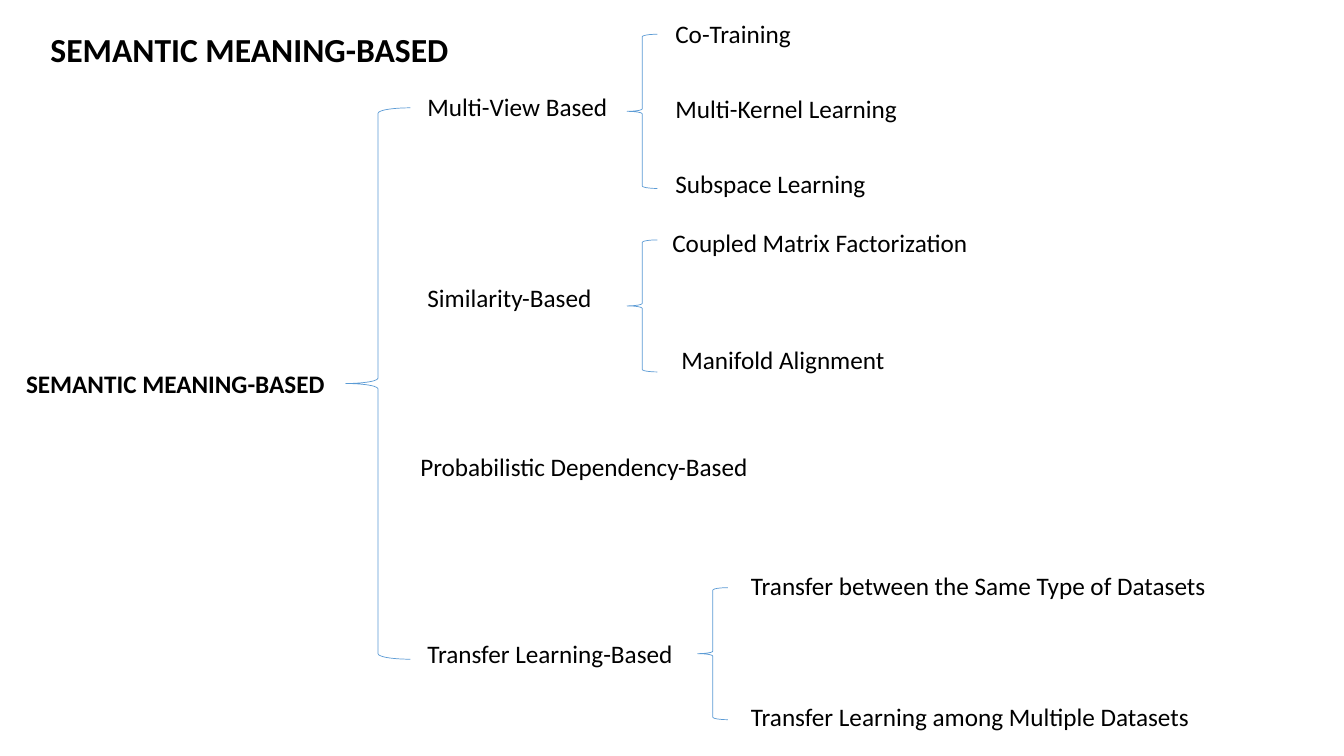
from pptx import Presentation
from pptx.dml.color import RGBColor
from pptx.enum.shapes import MSO_SHAPE as Preset
from pptx.enum.text import MSO_ANCHOR as Anchor, MSO_AUTO_SIZE as AutoSize, PP_ALIGN as Align
from pptx.util import Emu, Pt

EMU_PER_PX = 9144
LABEL_HEIGHT = 40
BRACE_WIDTH = 30


def place(shape, *box):
    shape.left, shape.top, shape.width, shape.height = [Emu(value * EMU_PER_PX) for value in box]


def write(shape, text, size, bold):
    frame = shape.text_frame
    frame.word_wrap = False
    frame.auto_size = AutoSize.SHAPE_TO_FIT_TEXT
    frame.vertical_anchor = Anchor.TOP
    paragraph = frame.paragraphs[0]
    paragraph.alignment = Align.LEFT
    paragraph.line_spacing = 1.0
    paragraph.space_before = Pt(0)
    run = paragraph.add_run()
    run.text = text
    run.font.name = "Calibri"
    run.font.size = Pt(size)
    run.font.bold = bold
    run.font.color.rgb = RGBColor.from_string("000000")


presentation = Presentation()
presentation.slide_width = Emu(1333 * EMU_PER_PX)
presentation.slide_height = Emu(750 * EMU_PER_PX)
slide = presentation.slides.add_slide(presentation.slide_layouts[5])

title = slide.shapes.title
place(title, 40, 24, 419, 50)
write(title, "SEMANTIC MEANING-BASED", 24, True)

root = ("SEMANTIC MEANING-BASED", 16, 360, 319)
categories = [
    ("Multi-View Based", 414, 86, 201),
    ("Similarity-Based", 414, 275, 185),
    ("Probabilistic Dependency-Based", 407, 443, 349),
    ("Transfer Learning-Based", 414, 628, 266),
]
methods = [
    ("Co-Training", 660, 13, 136),
    ("Multi-Kernel Learning", 660, 88, 243),
    ("Subspace Learning", 660, 162, 211),
    ("Coupled Matrix Factorization", 657, 221, 316),
    ("Manifold Alignment", 666, 337, 224),
    ("Transfer between the Same Type of Datasets", 735, 561, 476),
    ("Transfer Learning among Multiple Datasets", 735, 691, 460),
]
for label in [root, *categories, *methods]:
    text, left, top, width = label
    box = slide.shapes.add_textbox(0, 0, 0, 0)
    place(box, left, top, width, LABEL_HEIGHT)
    write(box, text, 18, label is root)

braces = [
    (343, 107, 64, 547),
    (622, 34, BRACE_WIDTH, 153),
    (622, 238, BRACE_WIDTH, 131),
    (692, 583, BRACE_WIDTH, 131),
]
for bounds in braces:
    brace = slide.shapes.add_shape(Preset.LEFT_BRACE, 0, 0, 0, 0)
    place(brace, *bounds)
    brace.shadow.inherit = False
    brace.fill.background()
    brace.line.color.rgb = RGBColor.from_string("5B9BD5")
    brace.line.width = Pt(0.5)

presentation.save("out.pptx")
